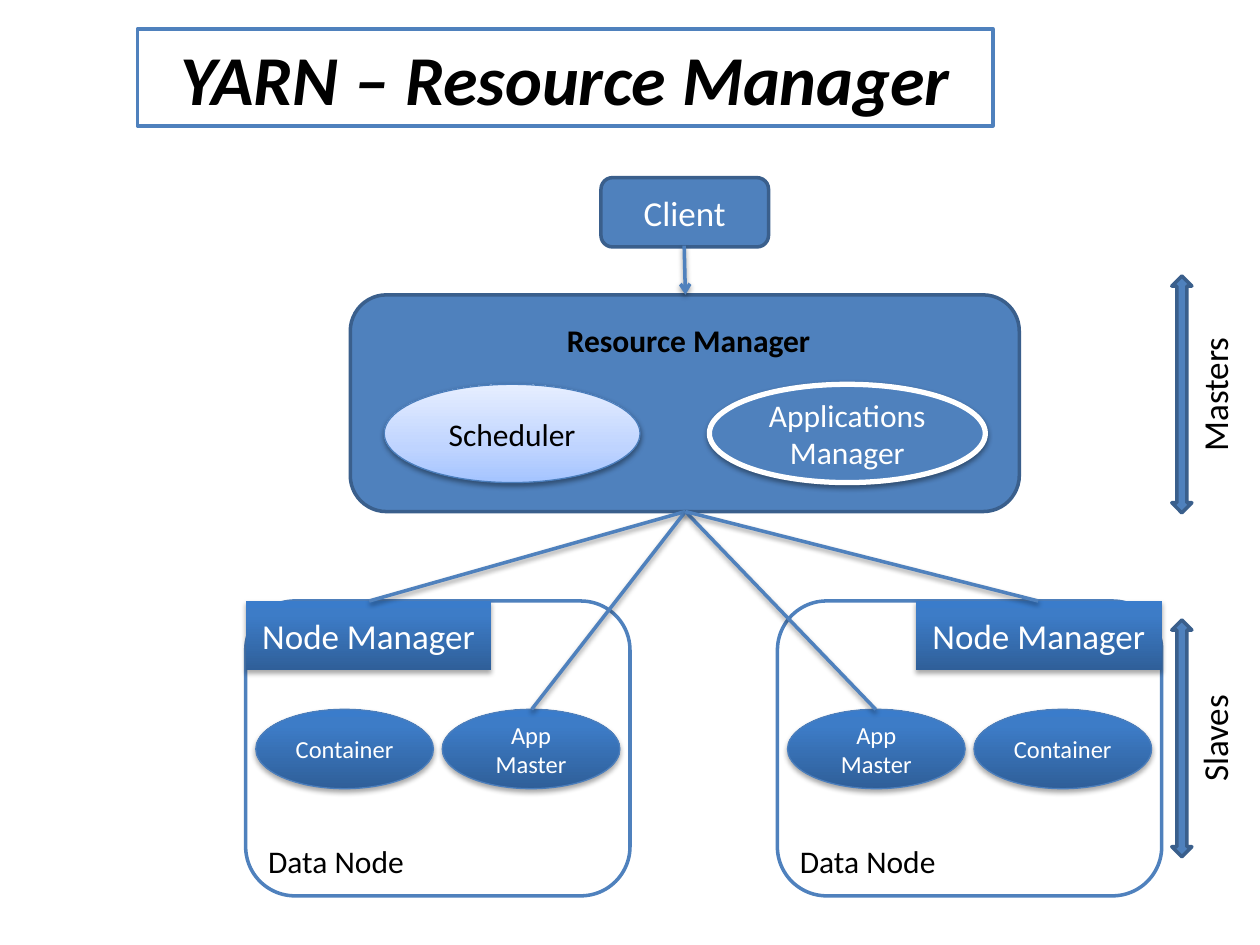
from dataclasses import dataclass
from typing import Optional

from lxml.etree import SubElement
from pptx import Presentation
from pptx.dml.color import RGBColor
from pptx.enum.shapes import MSO_CONNECTOR as Connector, MSO_SHAPE as Shape
from pptx.enum.text import MSO_ANCHOR as Anchor, MSO_AUTO_SIZE as AutoSize, PP_ALIGN as Align
from pptx.oxml.ns import qn
from pptx.util import Inches, Pt

BLUE, EDGE, THIN_EDGE = "4F81BD", "3A5F8C", "4B7EBC"
WHITE, BLACK = "FFFFFF", "000000"
DEEP_BLUE = ((0, "2F5F99"), (80, "3D7CC7"), (100, "3A7CCB"))
PALE_BLUE = ((0, "A4C4FF"), (35, "BFD4FF"), (100, "E6EEFF"))


@dataclass(frozen=True)
class Label:
    text: str
    size: float
    color: str = WHITE
    bold: bool = False
    italic: bool = False
    align: Align = Align.CENTER
    anchor: Anchor = Anchor.MIDDLE


@dataclass(frozen=True)
class Shadow:
    opacity: int
    distance: float


@dataclass(frozen=True)
class Style:
    fill: str = BLUE
    stops: tuple = ()
    line: Optional[str] = EDGE
    width: float = 2
    shadow: Optional[Shadow] = None


SOFT, STRONG = Shadow(35, 1.8), Shadow(38, 1.6)
SOLID = Style()
OUTLINED = Style(fill=WHITE, line=BLUE)
MANAGER = Style(stops=DEEP_BLUE, line=None, shadow=SOFT)
WORKER = Style(stops=DEEP_BLUE, line=THIN_EDGE, width=0.75, shadow=SOFT)
SCHEDULER = Style(stops=PALE_BLUE, line=THIN_EDGE, width=0.75, shadow=STRONG)
APPLICATIONS = Style(line=WHITE, width=3, shadow=STRONG)


def rgb(value: str) -> RGBColor:
    return RGBColor.from_string(value)


def write(frame, label: Label) -> None:
    frame.word_wrap = True
    frame.vertical_anchor = label.anchor
    frame.text = label.text
    para = frame.paragraphs[0]
    para.alignment = label.align
    font = para.runs[0].font
    font.name, font.size = "Calibri", Pt(label.size)
    font.bold, font.italic = label.bold, label.italic
    font.color.rgb = rgb(label.color)


def add_gradient(fill, stops: tuple, properties) -> None:
    fill.gradient()
    fill.gradient_angle = 90
    stop_list = properties.find(".//" + qn("a:gsLst"))
    for old in list(stop_list):
        stop_list.remove(old)
    for position, color in stops:
        stop = SubElement(stop_list, qn("a:gs"), pos=str(position * 1000))
        SubElement(stop, qn("a:srgbClr"), val=color)


def cast(effects, shadow: Shadow) -> None:
    outer = SubElement(effects, qn("a:outerShdw"), blurRad=str(Pt(3.1)),
                       dist=str(Pt(shadow.distance)), dir="5400000", rotWithShape="0")
    color = SubElement(outer, qn("a:srgbClr"), val=BLACK)
    SubElement(color, qn("a:alpha"), val=str(shadow.opacity * 1000))


def add_box(page, kind: Shape, left: float, top: float, width: float, height: float,
            style: Style, label: Optional[Label] = None):
    box = page.shapes.add_shape(kind, Inches(left), Inches(top), Inches(width), Inches(height))
    properties = box.element.spPr
    if style.stops:
        add_gradient(box.fill, style.stops, properties)
    else:
        box.fill.solid()
        box.fill.fore_color.rgb = rgb(style.fill)
    if style.line:
        box.line.color.rgb = rgb(style.line)
        box.line.width = Pt(style.width)
    else:
        box.line.fill.background()
    box.shadow.inherit = False
    if style.shadow:
        cast(properties.find(qn("a:effectLst")), style.shadow)
    if label:
        write(box.text_frame, label)
    return box


def add_text(page, left: float, top: float, width: float, height: float, label: Label,
             rotation: float = 0) -> None:
    box = page.shapes.add_textbox(Inches(left), Inches(top), Inches(width), Inches(height))
    box.rotation = rotation
    write(box.text_frame, label)
    box.text_frame.auto_size = AutoSize.SHAPE_TO_FIT_TEXT


def add_link(page, start: tuple, end: tuple, arrow: bool = False) -> None:
    link = page.shapes.add_connector(Connector.STRAIGHT, *map(Inches, start + end))
    link.line.color.rgb = rgb(BLUE)
    link.line.width = Pt(2)
    properties = link.element.spPr
    if arrow:
        SubElement(properties.find(qn("a:ln")), qn("a:tailEnd"), type="arrow")
    cast(SubElement(properties, qn("a:effectLst")), STRONG)


def add_data_node(page, left: float, manager_left: float, workers: tuple) -> None:
    add_box(page, Shape.ROUNDED_RECTANGLE, left, 4.77, 3.05, 2.34, OUTLINED)
    add_box(page, Shape.RECTANGLE, manager_left, 4.77, 1.95, 0.55, MANAGER,
            Label("Node Manager", 20))
    for index, worker in enumerate(workers):
        add_box(page, Shape.OVAL, left + 0.08 + 1.48 * index, 5.63, 1.41, 0.63, WORKER,
                Label(worker, 14))
    add_text(page, left + 0.08, 6.63, 1.8, 0.4,
             Label("Data Node", 18, BLACK, align=Align.LEFT, anchor=Anchor.TOP))


def add_tier(page, top: float, name: str) -> None:
    add_box(page, Shape.UP_DOWN_ARROW, 9.3, top, 0.16, 1.88, SOLID)
    add_text(page, 8.78, top + 0.72, 1.72, 0.44, Label(name, 20, BLACK, anchor=Anchor.TOP), 270)


def main() -> None:
    """Build the YARN resource manager slide."""
    deck = Presentation()
    deck.slide_width, deck.slide_height = Inches(10), Inches(7.5)
    page = deck.slides.add_slide(deck.slide_layouts[6])

    add_box(page, Shape.ROUNDED_RECTANGLE, 2.78, 2.34, 5.31, 1.72, SOLID)
    add_box(page, Shape.RECTANGLE, 1.09, 0.23, 6.79, 0.77, OUTLINED,
            Label("YARN – Resource Manager", 40, BLACK, True, True, anchor=Anchor.TOP))
    add_box(page, Shape.ROUNDED_RECTANGLE, 4.77, 1.41, 1.33, 0.55, SOLID, Label("Client", 20))
    add_box(page, Shape.OVAL, 3.05, 3.05, 2.03, 0.78, SCHEDULER, Label("Scheduler", 18, BLACK))
    add_box(page, Shape.OVAL, 5.63, 3.05, 2.19, 0.78, APPLICATIONS,
            Label("Applications Manager", 18))
    add_text(page, 4.37, 2.5, 2.19, 0.4,
             Label("Resource Manager", 18, BLACK, True, anchor=Anchor.TOP))

    add_data_node(page, 1.95, 1.95, ("Container", "App Master"))
    add_data_node(page, 6.17, 7.27, ("App Master", "Container"))
    add_tier(page, 2.19, "Masters")
    add_tier(page, 4.92, "Slaves")

    add_link(page, (5.43, 1.95), (5.44, 2.34), arrow=True)
    for end in ((2.93, 4.77), (4.22, 5.63), (6.95, 5.63), (8.24, 4.77)):
        add_link(page, (5.44, 4.06), end)
    deck.save("out.pptx")


if __name__ == "__main__":
    main()
